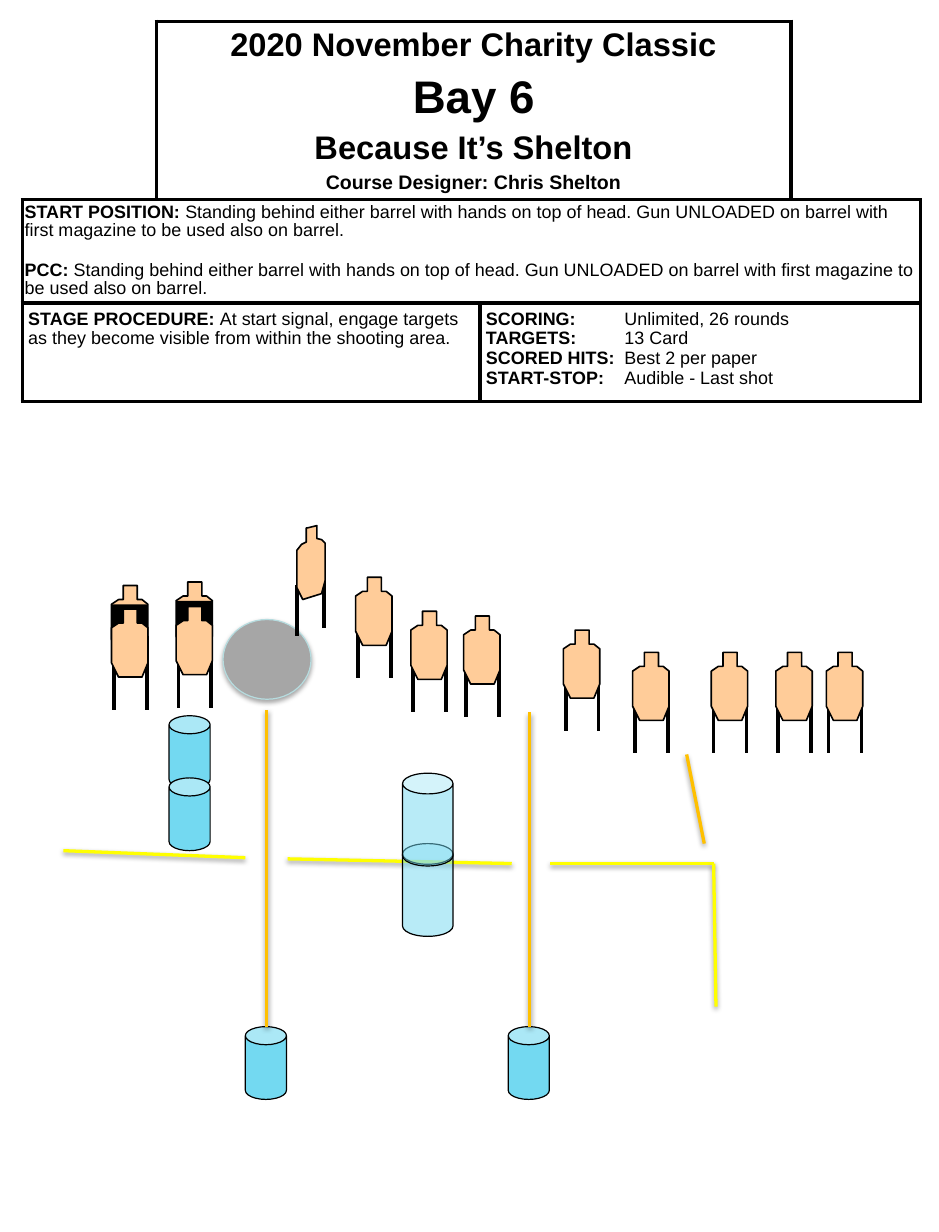
import dataclasses

import lxml.etree
import pptx
import pptx.dml.color
import pptx.enum.shapes
import pptx.enum.text
import pptx.oxml
import pptx.oxml.ns
import pptx.util

SCALE = 9144
SHAPE = pptx.enum.shapes.MSO_SHAPE
ALIGN = pptx.enum.text.PP_ALIGN
ANCHOR = pptx.enum.text.MSO_ANCHOR


@dataclasses.dataclass(frozen=True)
class Theme:
    font: str = "Arial"
    ink: str = "000000"
    paper: str = "FFFFFF"
    skin: str = "FFCC99"
    barrel: str = "73D9F1"
    steel: str = "A6A6A6"
    rim: str = "B6DCDF"
    wall: str = "FFC000"
    fault: str = "FFFF00"
    head: int = 20
    bay: int = 28
    credit: int = 12
    body: int = 11
    thin: float = 0.75
    edge: float = 1
    rope: float = 2
    bold: float = 2.25


THEME = Theme()
BODY = [(10, 0), (22, 0), (22, 12), (26, 12), (31, 16), (31, 46),
        (26, 58), (6, 58), (0, 46), (0, 16), (6, 12), (10, 12)]
COVER = [(0, 16), (31, 16), (31, 46), (25, 58), (6, 58), (0, 46)]
LEGS = [((2, 43), (2, 86)), ((30, 43), (30, 86))]
TILT = [(9, 2), (17, 0), (17, 11), (21, 12), (24, 15), (24, 47), (21, 58),
        (5, 63), (0, 53), (0, 21), (4, 16), (8, 14), (8, 2)]
TILT_LEGS = [((0, 51), (0, 94)), ((23, 44), (23, 87))]


def px(*sizes):
    return [pptx.util.Emu(size * SCALE) for size in sizes]


def tint(code):
    return pptx.dml.color.RGBColor.from_string(code)


def make(tag, root, **attrs):
    return lxml.etree.SubElement(root, pptx.oxml.ns.qn(tag), attrs)


def cast(shape, shade=None):
    effects = make("a:effectLst", shape._element.spPr)
    if shade:
        alpha, blur, dist = shade
        outer = make("a:outerShdw", effects, blurRad=str(int(blur * 12700)),
                     dist=str(int(dist * 12700)), dir="5400000", rotWithShape="0")
        color = make("a:srgbClr", outer, val=THEME.ink)
        make("a:alpha", color, val=str(alpha * 1000))


def paint(shape, fill, line=THEME.ink, width=THEME.thin, shade=None, alpha=None):
    shape.fill.solid()
    shape.fill.fore_color.rgb = tint(fill)
    if alpha:
        color = shape._element.spPr.find(".//" + pptx.oxml.ns.qn("a:srgbClr"))
        make("a:alpha", color, val=str(alpha * 1000))
    if line:
        shape.line.color.rgb = tint(line)
        shape.line.width = pptx.util.Pt(width)
    else:
        shape.line.fill.background()
    cast(shape, shade)


def stroke(shapes, start, end, color=THEME.ink, width=THEME.bold, shade=None):
    kind = pptx.enum.shapes.MSO_CONNECTOR.STRAIGHT
    line = shapes.add_connector(kind, *px(*start, *end))
    line.line.color.rgb = tint(color)
    line.line.width = pptx.util.Pt(width)
    cast(line, shade)


def rope(shapes, start, end, color):
    stroke(shapes, start, end, color, THEME.rope, (38, 3.1, 1.6))


def outline(shapes, points, fill, line):
    pen = shapes.build_freeform(*points[0], scale=SCALE)
    pen.add_line_segments(points[1:], close=True)
    paint(pen.convert_to_shape(), fill, line, THEME.edge)


def target(shapes, left, top, cover=False, body=BODY, legs=LEGS):
    def place(points):
        return [(left + x, top + y) for x, y in points]
    parts = shapes.add_group_shape().shapes
    for leg in legs:
        stroke(parts, *place(leg))
    outline(parts, place(body), THEME.skin, THEME.ink)
    if cover:
        outline(parts, place(COVER), THEME.ink, None)


def barrel(shapes, left, top, width=35, height=62, bend=0.44, alpha=None):
    can = shapes.add_shape(SHAPE.CAN, *px(left, top, width, height))
    can.adjustments[0] = bend
    paint(can, THEME.barrel, alpha=alpha)


def say(par, text, size=THEME.body, bold=False):
    run = par.add_run()
    run.text = text
    font = run.font
    font.name, font.size, font.bold = THEME.font, pptx.util.Pt(size), bold
    font.color.rgb = tint(THEME.ink)


def border(cell, sides):
    props = cell._tc.get_or_add_tcPr()
    for spot, side in enumerate("LRTB"):
        line = pptx.oxml.parse_xml(
            f'<a:ln{side} {pptx.oxml.ns.nsdecls("a")} '
            f'w="{int(THEME.bold * 12700)}"/>')
        if side in sides:
            make("a:srgbClr", make("a:solidFill", line), val=THEME.ink)
        else:
            make("a:noFill", line)
        props.insert(spot, line)


def inset(cell, side, top):
    cell.margin_left, cell.margin_right = px(side, side)
    cell.margin_top, cell.margin_bottom = px(top, top)


def lines(cell, count):
    frame = cell.text_frame
    return [frame.paragraphs[0]] + [frame.add_paragraph() for _ in range(count - 1)]


def grid(shapes):
    widths, heights = (114, 276, 265, 110), (152, 88, 84)
    frame = shapes.add_table(3, 4, *px(19, 18, sum(widths), sum(heights)))
    table = frame.table
    table.first_row = table.horz_banding = False
    for col, width in zip(table.columns, px(*widths)):
        col.width = width
    for row, height in zip(table.rows, px(*heights)):
        row.height = height
    for row in range(3):
        for col in range(4):
            cell = table.cell(row, col)
            cell.fill.solid()
            cell.fill.fore_color.rgb = tint(THEME.paper)
            border(cell, {(0, 0): "RB", (0, 3): "LB"}.get((row, col), "LRTB"))
            inset(cell, 5, 5)
    for row, start, end in ((0, 1, 2), (1, 0, 3), (2, 0, 1), (2, 2, 3)):
        table.cell(row, start).merge(table.cell(row, end))
    return table


def title(cell):
    cell.vertical_anchor = ANCHOR.MIDDLE
    rows = (("2020 November Charity Classic", THEME.head, 0),
            ("Bay 6", THEME.bay, 5.6),
            ("Because It’s Shelton", THEME.head, 4),
            ("Course Designer: Chris Shelton", THEME.credit, 3.5))
    for par, (text, size, gap) in zip(lines(cell, len(rows)), rows):
        par.alignment = ALIGN.CENTER
        par.space_before = pptx.util.Pt(gap)
        say(par, text, size=size, bold=True)


def brief(table):
    cell = table.cell(1, 0)
    inset(cell, 2, 4)
    start = ("Standing behind either barrel with hands on top of head. Gun UNLOADED "
             "on barrel with first magazine to be used also on barrel.")
    for par, label, gap in zip(lines(cell, 2), ("START POSITION: ", "PCC: "), (0, 13.5)):
        par.line_spacing = 0.9
        par.space_before = pptx.util.Pt(gap)
        say(par, label, bold=True)
        say(par, start)
    par = lines(table.cell(2, 0), 1)[0]
    say(par, "STAGE PROCEDURE: ", bold=True)
    say(par, "At start signal, engage targets as they become visible "
             "from within the shooting area.")
    facts = (("SCORING:", "Unlimited, 26 rounds"), ("TARGETS:", "13 Card"),
             ("SCORED HITS:", "Best 2 per paper"), ("START-STOP:", "Audible - Last shot"))
    for par, (label, value) in zip(lines(table.cell(2, 2), len(facts)), facts):
        stops = make("a:tabLst", par._p.get_or_add_pPr())
        make("a:tab", stops, pos=str(118 * SCALE), algn="l")
        say(par, label + "\t", bold=True)
        say(par, value)


def range_map(shapes):
    for spot in ((433, 875), (209, 875), (144, 610), (144, 663)):
        barrel(shapes, *spot)
    target(shapes, 150, 496, cover=True)
    target(shapes, 150, 517)
    plate = shapes.add_shape(SHAPE.OVAL, *px(190, 528, 75, 68))
    paint(plate, THEME.steel, THEME.rim, shade=(35, 3.1, 1.8))
    rope(shapes, (227, 605), (227, 875), THEME.wall)
    target(shapes, 95, 499, cover=True)
    target(shapes, 95, 519)
    rope(shapes, (451, 607), (451, 875), THEME.wall)
    for start, end in (((54, 725), (209, 731)), ((245, 732), (436, 736)),
                       ((469, 736), (608, 736)), ((608, 736), (610, 858))):
        rope(shapes, start, end, THEME.fault)
    target(shapes, 253, 448, body=TILT, legs=TILT_LEGS)
    stack = shapes.add_group_shape().shapes
    for top in (719, 659):
        barrel(stack, 343, top, 43, 79, 0.41, alpha=50)
    for spot in ((350, 521), (303, 492), (395, 525), (661, 556),
                 (606, 556), (539, 556), (480, 537), (704, 556)):
        target(shapes, *spot)
    rope(shapes, (585, 643), (600, 719), THEME.wall)


def main():
    deck = pptx.Presentation()
    deck.slide_width, deck.slide_height = px(800, 1050)
    shapes = deck.slides.add_slide(deck.slide_layouts[6]).shapes
    table = grid(shapes)
    title(table.cell(0, 1))
    brief(table)
    range_map(shapes)
    deck.save("out.pptx")


if __name__ == "__main__":
    main()
